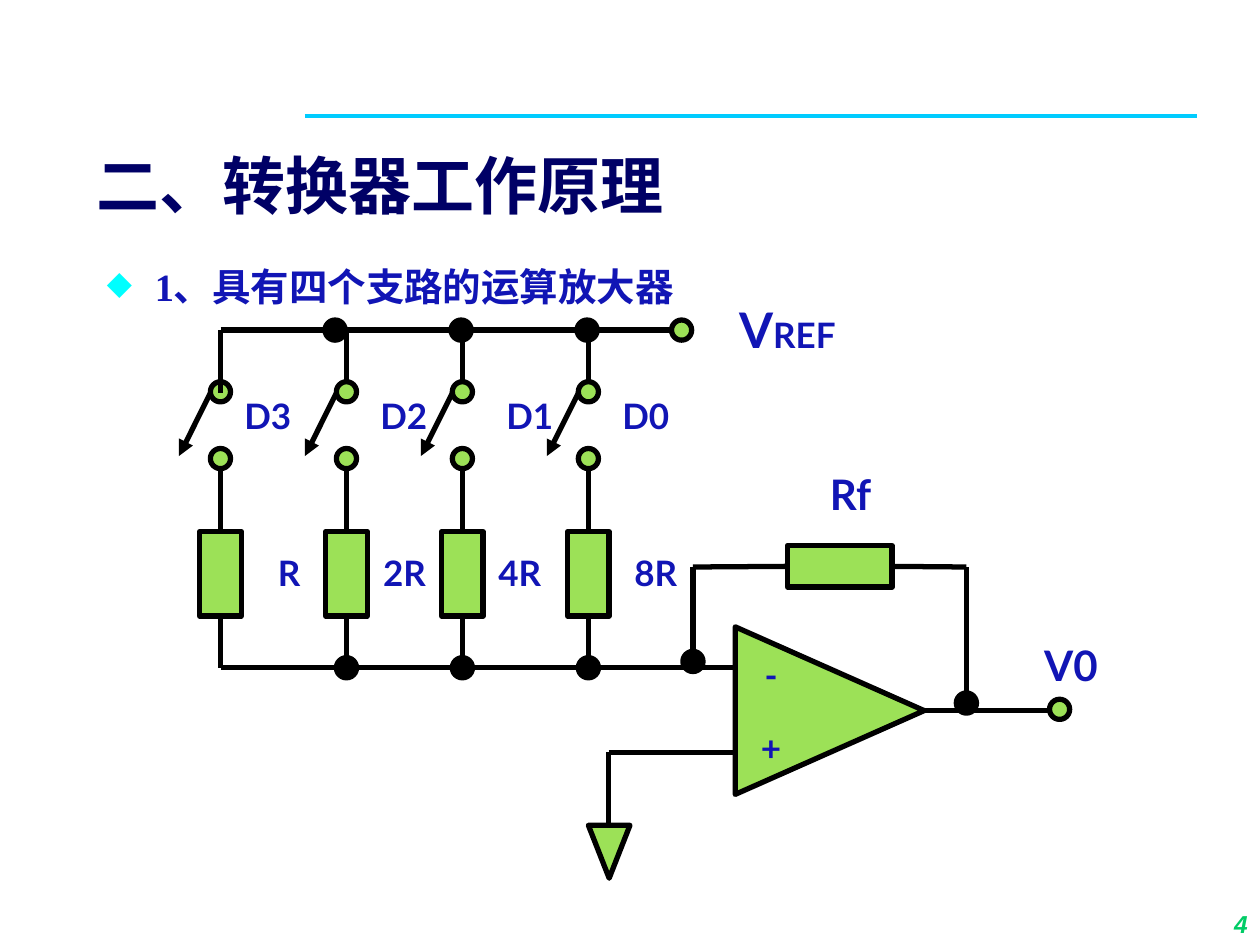
from dataclasses import dataclass
from typing import NamedTuple

from lxml.etree import SubElement
from pptx import Presentation
from pptx.dml.color import RGBColor
from pptx.enum.shapes import MSO_CONNECTOR, MSO_SHAPE
from pptx.enum.text import MSO_ANCHOR as Anchor, PP_ALIGN as Align
from pptx.oxml.ns import qn
from pptx.util import Inches, Pt


@dataclass(frozen=True)
class Theme:
    title: str = "000066"
    text: str = "1115B5"
    green: str = "9CE157"
    ink: str = "000000"
    rule: str = "00CCFF"
    bullet: str = "00FFFF"
    number: str = "00CC66"
    serif: str = "Times New Roman"
    label_font: str = "Lato"
    number_font: str = "Arial"
    title_size: int = 36
    body_size: int = 22
    ref_size: int = 28
    port_size: int = 24
    label_size: int = 20
    number_size: int = 14
    wire_width: int = 3
    rule_width: int = 2


THEME = Theme()


class Point(NamedTuple):
    x: float
    y: float


class Box(NamedTuple):
    left: float
    top: float
    width: float
    height: float


class Branch(NamedTuple):
    x: float
    bit: str
    bit_left: float
    value: str
    value_left: float
    value_width: float


class Label(NamedTuple):
    words: str
    box: Box
    size: int = THEME.label_size


BRANCHES = [
    Branch(1.75, "D3", 1.75, "R", 1.92, 0.75),
    Branch(2.75, "D2", 2.83, "2R", 2.92, 0.58),
    Branch(3.67, "D1", 3.83, "4R", 3.75, 0.75),
    Branch(4.67, "D0", 4.75, "8R", 4.83, 0.75),
]
LABELS = [
    Label("V0", Box(8, 5.03, 1, 0.5), THEME.port_size),
    Label("Rf", Box(6.25, 3.67, 1, 0.5), THEME.port_size),
    Label("-", Box(5.83, 5.14, 0.58, 0.44)),
    Label("+", Box(5.83, 5.72, 0.58, 0.44)),
]
RAIL_Y, CONTACT_Y, ARM_Y, THROW_Y, SUM_Y = 2.62, 3.11, 3.12, 3.64, 5.3
FEEDBACK_Y, INPUT_X, OUTPUT_X = 4.5, 5.5, 7.67
DOT = 0.16
RESISTOR = Box(0, 4.22, 0.33, 0.67)
TOP, LEFT, BOTTOM, RIGHT = range(4)


def add_symbol(slide, kind: MSO_SHAPE, box: Box, fill: str = THEME.green):
    symbol = slide.shapes.add_shape(kind, *map(Inches, box))
    symbol.shadow.inherit = False
    symbol.fill.solid()
    symbol.fill.fore_color.rgb = RGBColor.from_string(fill)
    symbol.line.color.rgb = RGBColor.from_string(THEME.ink)
    symbol.line.width = Pt(THEME.wire_width)
    return symbol


def add_dot(slide, center: Point, fill: str = THEME.green):
    frame = Box(center.x - DOT / 2, center.y - DOT / 2, DOT, DOT)
    return add_symbol(slide, MSO_SHAPE.FLOWCHART_CONNECTOR, frame, fill)


def add_wire(slide, start: Point, end: Point, color: str = THEME.ink,
             width: int = THEME.wire_width, arrow: bool = False):
    wire = slide.shapes.add_connector(
        MSO_CONNECTOR.STRAIGHT, *map(Inches, (*start, *end)))
    wire.line.color.rgb = RGBColor.from_string(color)
    wire.line.width = Pt(width)
    properties = wire._element.spPr
    if arrow:
        SubElement(properties.find(qn("a:ln")), qn("a:tailEnd"), type="triangle")
    SubElement(properties, qn("a:effectLst"))
    return wire


def add_text(slide, words: str, box: Box, size: int, color: str = THEME.text,
             font: str = THEME.label_font, align: Align = Align.CENTER,
             anchor: Anchor = Anchor.TOP):
    frame = slide.shapes.add_textbox(*map(Inches, box)).text_frame
    frame.word_wrap = True
    frame.vertical_anchor = anchor
    frame.text = words
    paragraph = frame.paragraphs[0]
    paragraph.alignment = align
    style_run(paragraph.runs[0], size, color, font)
    return paragraph


def style_run(run, size: int, color: str = THEME.text,
              font: str = THEME.label_font) -> None:
    run.font.size = Pt(size)
    run.font.bold = True
    run.font.name = font
    run.font.color.rgb = RGBColor.from_string(color)


def add_bullet(paragraph) -> None:
    props = paragraph._p.get_or_add_pPr()
    props.set("marL", str(Inches(0.38)))
    props.set("indent", str(-Inches(0.38)))
    bullet_color = SubElement(props, qn("a:buClr"))
    SubElement(bullet_color, qn("a:srgbClr"), val=THEME.bullet)
    SubElement(props, qn("a:buSzPct"), val="85000")
    SubElement(props, qn("a:buChar"), char="◆")


def draw_heading(slide) -> None:
    add_wire(slide, Point(2.42, 0.92), Point(9.5, 0.92), THEME.rule, THEME.rule_width)
    title = add_text(slide, "二、转换器工作原理", Box(0.67, 0.92, 8.25, 1.16),
                     THEME.title_size, THEME.title, THEME.serif, Align.LEFT, Anchor.MIDDLE)
    title.line_spacing = 0.9
    topic = add_text(slide, "1、具有四个支路的运算放大器", Box(0.75, 2.08, 8.58, 4.5),
                     THEME.body_size, font=THEME.serif, align=Align.LEFT)
    topic.line_spacing = 0.9
    add_bullet(topic)
    number = add_text(slide, "4", Box(7.92, 7, 2.08, 0.5), THEME.number_size,
                      THEME.number, THEME.number_font, Align.RIGHT, Anchor.BOTTOM)
    number.runs[0].font.italic = True


def draw_branch(slide, branch: Branch, first: bool) -> None:
    x = branch.x
    resistor = add_symbol(slide, MSO_SHAPE.RECTANGLE,
                          RESISTOR._replace(left=x - RESISTOR.width / 2))
    bottom = RESISTOR.top + RESISTOR.height
    add_wire(slide, Point(x, THROW_Y), Point(x, RESISTOR.top)).end_connect(resistor, TOP)
    add_wire(slide, Point(x, bottom), Point(x, SUM_Y)).begin_connect(resistor, BOTTOM)
    for y in (CONTACT_Y, THROW_Y):
        add_dot(slide, Point(x, y))
    add_wire(slide, Point(x - 0.08, ARM_Y), Point(x - 0.33, ARM_Y + 0.5), arrow=True)
    add_wire(slide, Point(x, RAIL_Y), Point(x, ARM_Y if first else CONTACT_Y - DOT / 2))
    if not first:
        add_dot(slide, Point(x, SUM_Y), THEME.ink)
    add_text(slide, branch.bit, Box(branch.bit_left, 3.08, 0.75, 0.44), THEME.label_size)
    add_text(slide, branch.value, Box(branch.value_left, 4.33, branch.value_width, 0.44),
             THEME.label_size)


def draw_amplifier(slide) -> None:
    add_symbol(slide, MSO_SHAPE.FLOWCHART_EXTRACT, Box(5.92, 4.89, 1.33, 1.5)).rotation = 90
    add_wire(slide, Point(7.33, 5.64), Point(8.33, 5.64))
    add_dot(slide, Point(8.41, 5.63))
    add_wire(slide, Point(4.83, 5.97), Point(5.83, 5.97))
    add_wire(slide, Point(4.83, 5.97), Point(4.83, 6.55))
    add_symbol(slide, MSO_SHAPE.FLOWCHART_MERGE, Box(4.67, 6.55, 0.33, 0.42))

    feedback = add_symbol(slide, MSO_SHAPE.RECTANGLE, Box(6.25, 4.33, 0.83, 0.33))
    add_wire(slide, Point(INPUT_X, FEEDBACK_Y), Point(INPUT_X, 5.25))
    add_wire(slide, Point(INPUT_X, FEEDBACK_Y),
             Point(6.25, FEEDBACK_Y)).end_connect(feedback, LEFT)
    add_wire(slide, Point(7.08, FEEDBACK_Y),
             Point(OUTPUT_X, FEEDBACK_Y)).begin_connect(feedback, RIGHT)
    add_wire(slide, Point(OUTPUT_X, FEEDBACK_Y), Point(OUTPUT_X, 5.67))
    for node in (Point(INPUT_X, 5.25), Point(OUTPUT_X, 5.58)):
        add_dot(slide, node, THEME.ink)


def main() -> None:
    deck = Presentation()
    deck.slide_width, deck.slide_height = Inches(10), Inches(7.5)
    slide = deck.slides.add_slide(deck.slide_layouts[6])
    draw_heading(slide)
    draw_amplifier(slide)
    add_wire(slide, Point(1.75, SUM_Y), Point(5.83, SUM_Y))
    add_wire(slide, Point(1.75, RAIL_Y), Point(5.33, RAIL_Y))
    add_dot(slide, Point(5.41, RAIL_Y))
    for index, branch in enumerate(BRANCHES):
        draw_branch(slide, branch, index == 0)
    for x in (2.66, 3.66, 4.66):
        add_dot(slide, Point(x, RAIL_Y), THEME.ink)
    for label in LABELS:
        add_text(slide, *label)
    reference = add_text(slide, "V", Box(5.75, 2.33, 1, 0.57), THEME.ref_size)
    suffix = reference.add_run()
    suffix.text = "REF"
    style_run(suffix, THEME.label_size)
    deck.save("out.pptx")


if __name__ == "__main__":
    main()
